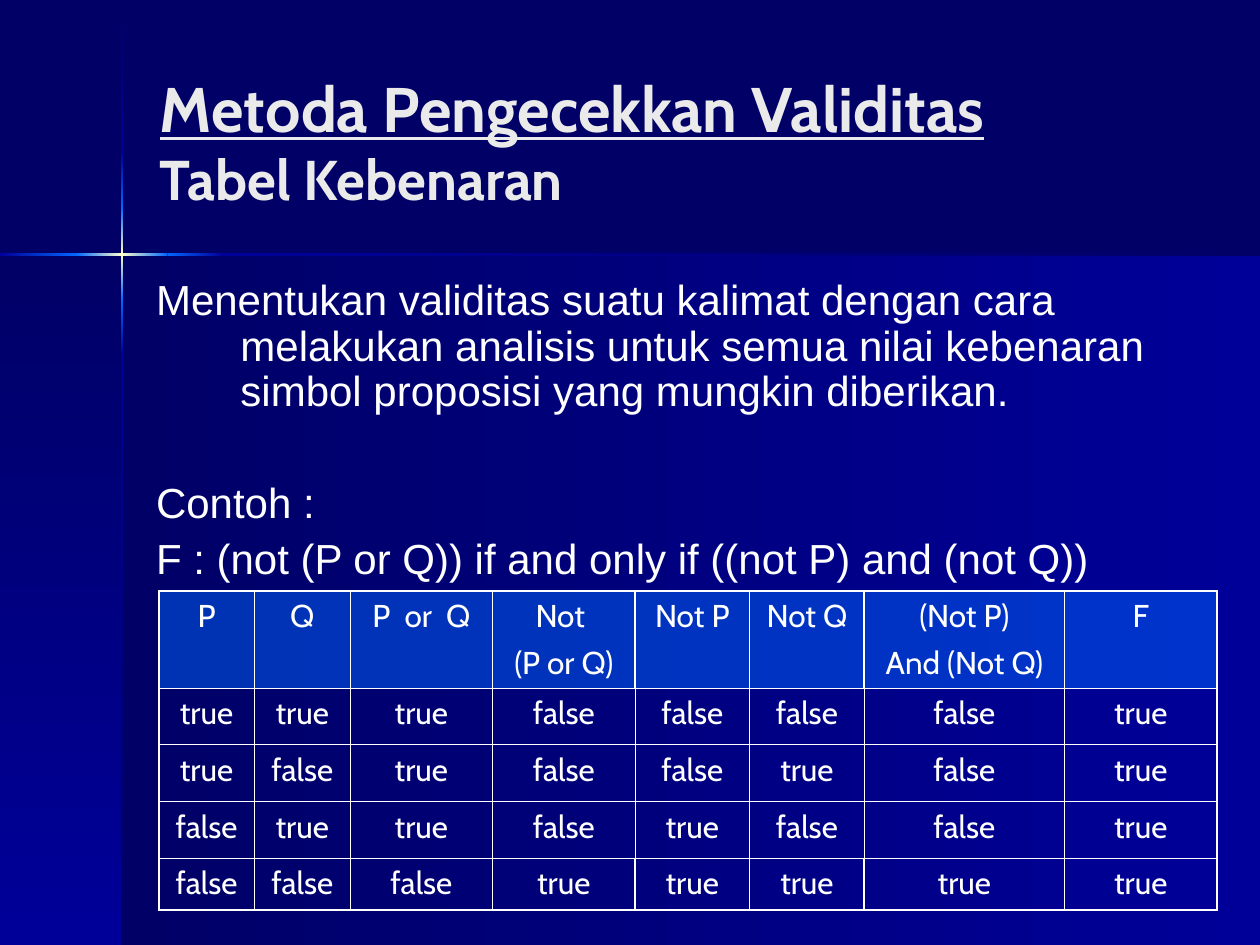
import copy
import itertools

import pptx
import pptx.dml.color
import pptx.enum.shapes
import pptx.enum.text
import pptx.oxml
import pptx.oxml.ns
import pptx.util

SLIDE_WIDTH = pptx.util.Inches(10)
SLIDE_HEIGHT = pptx.util.Inches(7.5)
COLORS = {
    "night": "000066",
    "navy": "000099",
    "azure": "0066FF",
    "glow": "FFFFCC",
    "title": "EAEAEA",
    "white": "FFFFFF",
}
RAY_COLORS = [
    ("night", "navy"),
    ("navy", "azure"),
    ("azure", "glow", "azure"),
    ("azure", "navy"),
    ("navy", "night"),
]
VERTICAL_RAY_EDGES = [0.13, 16.13, 22, 31.73, 37.6, 100]
HORIZONTAL_RAY_EDGES = [0, 6.05, 13.3, 17.7, 100]

HEADINGS = ["P", "Q", "P  or  Q", "Not \n(P or Q)", "Not P", "Not Q",
            "(Not P)\nAnd (Not Q)", "F"]
TRUTH_ROWS = [
    "true true true false false false false true",
    "true false true false false true false true",
    "false true true false true false false true",
    "false false false true true true true true",
]
COLUMN_SHARES = [7.6, 7.6, 11.3, 11.3, 9.1, 9.1, 15.9, 12.1]
ROW_SHARES = [10.27, 6, 6, 6, 5.47]
HEAVY_COLUMN_EDGES = [
    {0, 3, 4, 5, 6, 7, 8},
    {0, 8},
    {0, 8},
    {0, 7, 8},
    {0, 3, 4, 5, 6, 7, 8},
]
HEAVY_ROW_EDGES = {0, 5}


def across(percent):
    return round(SLIDE_WIDTH * percent / 100)


def down(percent):
    return round(SLIDE_HEIGHT * percent / 100)


def rgb(color):
    return pptx.dml.color.RGBColor.from_string(COLORS[color])


def place(left, top, width, height):
    return across(left), down(top), across(width), down(height)


def add_gradient_panel(slide, area, colors, angle):
    panel = slide.shapes.add_shape(
        pptx.enum.shapes.MSO_SHAPE.RECTANGLE, *place(*area))
    panel.shadow.inherit = False
    panel.line.fill.background()
    panel.fill.gradient()
    panel.fill.gradient_angle = -angle % 360
    stop_list = panel.fill.gradient_stops[0]._gs.getparent()
    if len(colors) == 3:
        stop_list.append(copy.deepcopy(stop_list[-1]))
    for index, (stop, color) in enumerate(zip(panel.fill.gradient_stops, colors)):
        stop.position = index / (len(colors) - 1)
        stop.color.rgb = rgb(color)


def add_backdrop(slide):
    slide.background.fill.solid()
    slide.background.fill.fore_color.rgb = rgb("night")
    add_gradient_panel(slide, (9.7, 26.93, 90.3, 73.07), ("night", "navy"), 0)
    add_gradient_panel(slide, (0, 26.93, 9.7, 73.07), ("night", "navy"), 90)
    for (top, bottom), colors in zip(
            itertools.pairwise(VERTICAL_RAY_EDGES), RAY_COLORS):
        add_gradient_panel(slide, (9.6, top, 0.2, bottom - top), colors, 90)
    for (left, right), colors in zip(
            itertools.pairwise(HORIZONTAL_RAY_EDGES), RAY_COLORS[1:]):
        add_gradient_panel(slide, (left, 26.8, right - left, 0.27), colors, 0)


def add_run(paragraph, text, size, font, color):
    run = paragraph.add_run()
    run.text = text
    run.font.size = pptx.util.Pt(size)
    run.font.name = font
    run.font.color.rgb = rgb(color)
    return run


def add_text_area(slide, area):
    frame = slide.shapes.add_textbox(*place(*area)).text_frame
    frame.word_wrap = True
    return frame


def add_title(slide):
    frame = add_text_area(slide, (11.7, 4.4, 82.5, 20.93))
    frame.vertical_anchor = pptx.enum.text.MSO_ANCHOR.MIDDLE
    heading = frame.paragraphs[0]
    topic = add_run(heading, "Metoda Pengecekkan Validitas", 36, "Cabin", "title")
    topic.font.underline = True
    heading.add_line_break()
    subtopic = add_run(heading, "Tabel Kebenaran", 32, "Cabin", "title")
    topic.font.bold = subtopic.font.bold = True


def add_explanation(slide):
    frame = add_text_area(slide, (11.4, 28.93, 86.6, 33.6))
    statements = [
        ("Menentukan validitas suatu kalimat dengan cara melakukan analisis "
         "untuk semua nilai kebenaran simbol proposisi yang mungkin diberikan.", 0),
        ("Contoh :", 38),
        ("F : (not (P or Q)) if and only if ((not P) and (not Q))", 6),
    ]
    for index, (statement, gap) in enumerate(statements):
        paragraph = frame.add_paragraph() if index else frame.paragraphs[0]
        properties = paragraph._p.get_or_add_pPr()
        properties.set("marL", str(across(6.7)))
        properties.set("indent", str(-across(6.7)))
        paragraph.line_spacing = 0.9
        paragraph.space_before = pptx.util.Pt(gap)
        add_run(paragraph, statement, 24, "Arial", "white")


def set_borders(cell, row, column):
    heavy = {
        "L": column in HEAVY_COLUMN_EDGES[row],
        "R": column + 1 in HEAVY_COLUMN_EDGES[row],
        "T": row in HEAVY_ROW_EDGES,
        "B": row + 1 in HEAVY_ROW_EDGES,
    }
    properties = cell._tc.get_or_add_tcPr()
    for index, (side, is_heavy) in enumerate(heavy.items()):
        width = pptx.util.Pt(1.08 if is_heavy else 0.45)
        properties.insert(index, pptx.oxml.parse_xml(
            f'<a:ln{side} {pptx.oxml.ns.nsdecls("a")} w="{width}"><a:solidFill>'
            f'<a:srgbClr val="{COLORS["white"]}"/></a:solidFill></a:ln{side}>'))


def fill_heading(cell):
    cell.fill.solid()
    cell.fill.fore_color.rgb = rgb("azure")
    tint = cell._tc.tcPr.find(".//" + pptx.oxml.ns.qn("a:srgbClr"))
    tint.append(pptx.oxml.parse_xml(
        f'<a:alpha {pptx.oxml.ns.nsdecls("a")} val="50000"/>'))


def write_cell(cell, text):
    for index, line in enumerate(text.split("\n")):
        frame = cell.text_frame
        paragraph = frame.add_paragraph() if index else frame.paragraphs[0]
        paragraph.alignment = pptx.enum.text.PP_ALIGN.CENTER
        paragraph.space_before = pptx.util.Pt(4.5 if index else 0)
        add_run(paragraph, line, 18, "Cabin", "white")


def add_truth_table(slide):
    contents = [HEADINGS] + [values.split() for values in TRUTH_ROWS]
    area = place(12.6, 62.53, sum(COLUMN_SHARES), sum(ROW_SHARES))
    table = slide.shapes.add_table(len(contents), len(HEADINGS), *area).table
    table.first_row = table.horz_banding = False
    for column, share in zip(table.columns, COLUMN_SHARES):
        column.width = across(share)
    for row, share in zip(table.rows, ROW_SHARES):
        row.height = down(share)
    for row, values in enumerate(contents):
        for column, value in enumerate(values):
            cell = table.cell(row, column)
            if row:
                cell.fill.background()
            else:
                fill_heading(cell)
            set_borders(cell, row, column)
            write_cell(cell, value)


def main():
    deck = pptx.Presentation()
    deck.slide_width = SLIDE_WIDTH
    deck.slide_height = SLIDE_HEIGHT
    slide = deck.slides.add_slide(deck.slide_layouts[6])
    add_backdrop(slide)
    add_title(slide)
    add_explanation(slide)
    add_truth_table(slide)
    deck.save("out.pptx")


if __name__ == "__main__":
    main()
